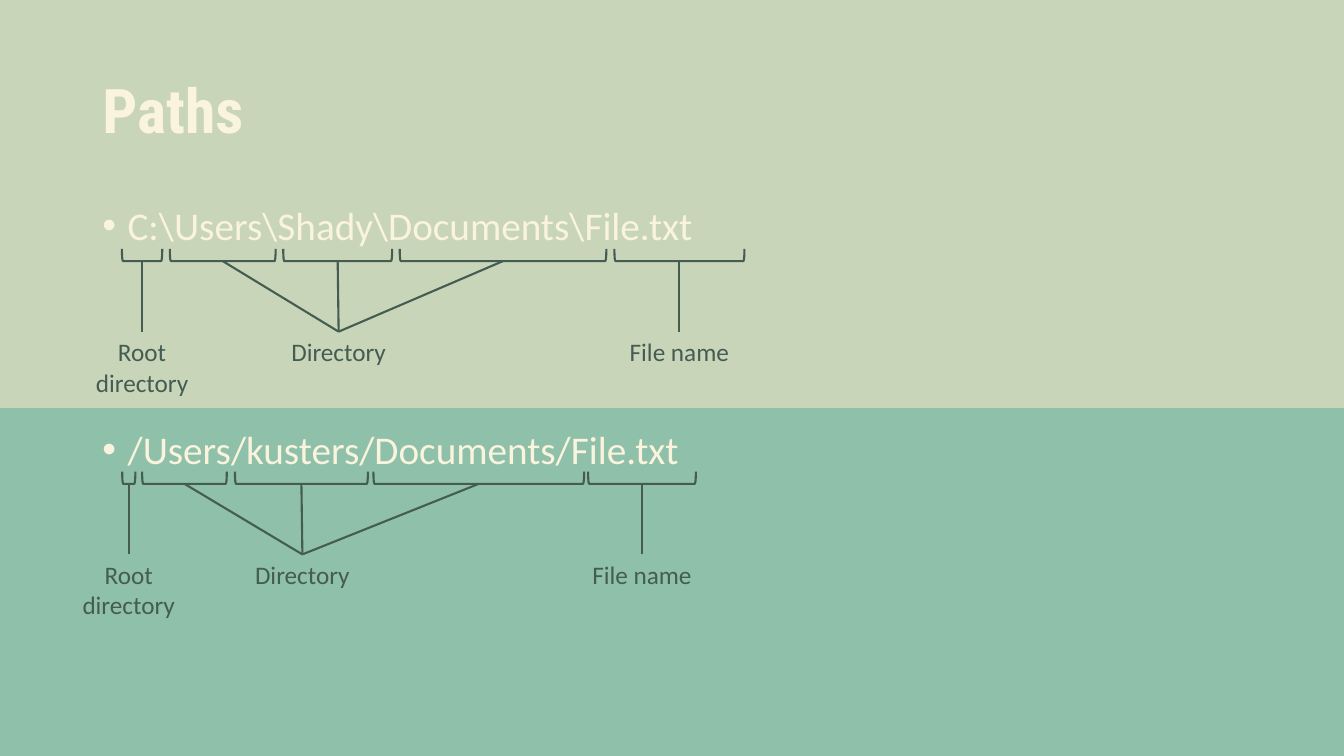
from dataclasses import dataclass

from lxml.etree import SubElement
from pptx import Presentation
from pptx.dml.color import RGBColor as Color
from pptx.enum.shapes import MSO_CONNECTOR as Connector, MSO_SHAPE as Shape
from pptx.enum.text import MSO_ANCHOR as Anchor, MSO_AUTO_SIZE as AutoSize, PP_ALIGN as Align
from pptx.oxml.ns import qn
from pptx.util import Pt


@dataclass(frozen=True)
class Theme:
    upper: Color = Color.from_string("C8D5B9")
    lower: Color = Color.from_string("8FC0A9")
    cream: Color = Color.from_string("FAF3DD")
    ink: Color = Color.from_string("455C52")
    heading_font: str = "Roboto Condensed"
    body_font: str = "Calibri"
    title_size: int = 44
    path_size: int = 28
    label_size: int = 18
    line_width: float = 1.5


PAGE_WIDTH, PAGE_HEIGHT = 960, 540
BRACKET_DEPTH = 8.64
LEADER_HEIGHT = 50.4
LABEL_WIDTH = 96.5
LINE_HEIGHT = 21.95
LABEL_PADDING = 7.2

PATHS = [r"C:\Users\Shady\Documents\File.txt", "/Users/kusters/Documents/File.txt"]

# Each diagram: bracket base, (centre, length) of each path part, centre of the directory label
DIAGRAMS = [
    (186.5, [(101.5, 28.8), (159.1, 75.6), (241.2, 77.8), (359.3, 147.6), (485.3, 92.9)], 241.9),
    (345.6, [(92, 9.4), (131.8, 60.5), (215.3, 95), (342, 150.5), (458.6, 77)], 216),
]


class PathsSlide:
    def __init__(self, deck, theme):
        self.theme = theme
        self.page = deck.slides.add_slide(deck.slide_layouts[1])
        self.shapes = self.page.shapes

    def format_text(self, para, font, size, color, bold=False):
        for span in para.runs:
            span.font.name = font
            span.font.size = Pt(size)
            span.font.color.rgb = color
            span.font.bold = bold

    def place(self, shape, left, top, width, height):
        shape.left, shape.top = Pt(left), Pt(top)
        shape.width, shape.height = Pt(width), Pt(height)

    def band(self, top, height, color):
        """Add a full-width colour band behind the placeholders."""
        box = self.shapes.add_shape(Shape.RECTANGLE, 0, Pt(top), Pt(PAGE_WIDTH), Pt(height))
        box.shadow.inherit = False
        box.fill.solid()
        box.fill.fore_color.rgb = color
        box.line.fill.background()
        self.shapes.title.element.addprevious(box.element)

    def title(self, text):
        box = self.shapes.title
        self.place(box, 66, 28.8, 828, 104.4)
        frame = box.text_frame
        frame.text = text
        frame.auto_size = AutoSize.NONE
        frame.vertical_anchor = Anchor.MIDDLE
        para = frame.paragraphs[0]
        para.alignment = Align.LEFT
        para.line_spacing = 0.9
        self.format_text(para, self.theme.heading_font, self.theme.title_size,
                         self.theme.cream, bold=True)

    def path_list(self, paths, gap):
        box = self.page.placeholders[1]
        self.place(box, 66, 143.75, 828, 342.7)
        frame = box.text_frame
        frame.text = "\n".join(paths)
        frame.auto_size = AutoSize.NONE
        for index, para in enumerate(frame.paragraphs):
            para.line_spacing = 0.9
            para.space_before = Pt(gap if index else 10)
            properties = para._p.get_or_add_pPr()
            properties.set("marL", str(Pt(18)))
            properties.set("indent", str(Pt(-18)))
            SubElement(properties, qn("a:buFont")).set("typeface", "Arial")
            SubElement(properties, qn("a:buChar")).set("char", "•")
            self.format_text(para, self.theme.body_font, self.theme.path_size, self.theme.cream)

    def outline(self, line):
        line.color.rgb = self.theme.ink
        line.width = Pt(self.theme.line_width)

    def bracket(self, center, base, length):
        """Add a left bracket turned to open upwards, its spine at base."""
        shape = self.shapes.add_shape(
            Shape.LEFT_BRACKET,
            Pt(center - BRACKET_DEPTH / 2), Pt(base - (BRACKET_DEPTH + length) / 2),
            Pt(BRACKET_DEPTH), Pt(length))
        shape.rotation = 270
        shape.shadow.inherit = False
        shape.fill.background()
        self.outline(shape.line)

    def label(self, text, center, top, lines=1):
        box = self.shapes.add_textbox(Pt(center - LABEL_WIDTH / 2), Pt(top), Pt(LABEL_WIDTH),
                                      Pt(lines * LINE_HEIGHT + LABEL_PADDING))
        frame = box.text_frame
        frame.text = text
        frame.word_wrap = True
        frame.auto_size = AutoSize.SHAPE_TO_FIT_TEXT
        para = frame.paragraphs[0]
        para.alignment = Align.CENTER
        self.format_text(para, self.theme.body_font, self.theme.label_size, self.theme.ink)
        return box

    def leader(self, label, center, base):
        """Join the top of a label to the spine of a bracket."""
        line = self.shapes.add_connector(Connector.STRAIGHT, label.left, label.top,
                                         Pt(center), Pt(base))
        line.begin_connect(label, 0)
        SubElement(line.element.spPr, qn("a:effectLst"))
        self.outline(line.line)

    def diagram(self, base, parts, directory_center):
        for center, length in parts:
            self.bracket(center, base, length)
        centers = [center for center, _ in parts]
        top = base + LEADER_HEIGHT
        root = self.label("Root directory", centers[0], top, lines=2)
        directory = self.label("Directory", directory_center, top)
        file_name = self.label("File name", centers[-1], top)
        for label, center in zip([root] + [directory] * 3 + [file_name], centers):
            self.leader(label, center, base)


def main():
    deck = Presentation()
    deck.slide_width, deck.slide_height = Pt(PAGE_WIDTH), Pt(PAGE_HEIGHT)
    theme = Theme()
    slide = PathsSlide(deck, theme)
    slide.band(0, 301, theme.upper)
    slide.band(291.6, 248.4, theme.lower)
    slide.title("Paths")
    slide.path_list(PATHS, gap=130)
    for base, parts, directory_center in DIAGRAMS:
        slide.diagram(base, parts, directory_center)
    deck.save("out.pptx")


if __name__ == "__main__":
    main()
